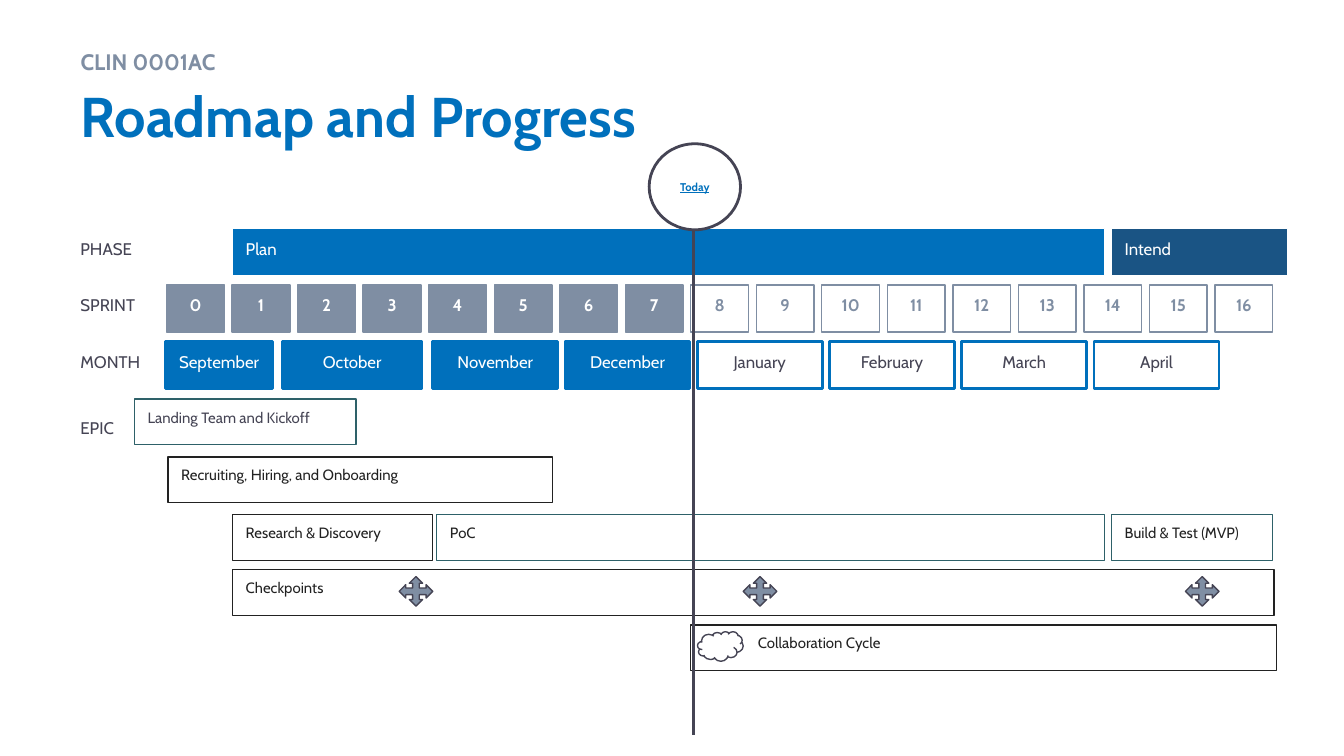
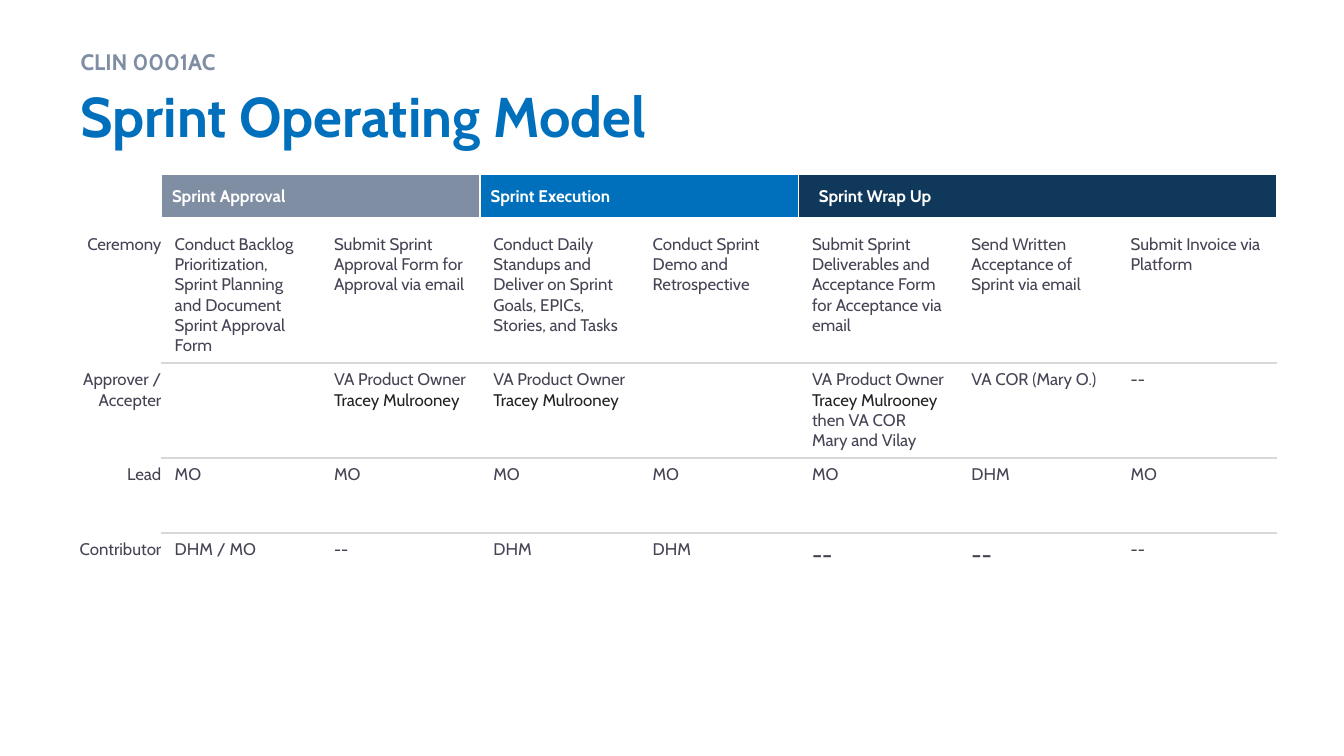
"""Build the roadmap and sprint operating model slides."""
import dataclasses
import typing

import lxml.etree
import pptx
import pptx.dml.color
import pptx.enum.shapes
import pptx.enum.text
import pptx.oxml.ns
import pptx.slide
import pptx.util

Inches = pptx.util.Inches
Pt = pptx.util.Pt
SHAPES = pptx.enum.shapes.MSO_SHAPE
ALIGN = pptx.enum.text.PP_ALIGN
ANCHOR = pptx.enum.text.MSO_ANCHOR
AUTO_SIZE = pptx.enum.text.MSO_AUTO_SIZE

SLIDE_WIDTH = 10
SLIDE_HEIGHT = SLIDE_WIDTH * 9 / 16
FONT = "Cabin"
BLUE = "0070BC"
STEEL = "7F8EA3"
MID_BLUE = "1A5484"
NAVY = "10385A"
SLATE = "454454"
INK = "222222"
TEAL = "2E6169"
RULE_GREY = "D8D8D8"
WHITE = "FFFFFF"


@dataclasses.dataclass(frozen=True)
class TextStyle:
    """Describe the look of a paragraph and its frame."""
    color: str = SLATE
    size: float = 9
    bold: bool = False
    underline: bool = False
    align: typing.Any = ALIGN.LEFT
    anchor: typing.Any = ANCHOR.TOP
    margins: tuple[float, float] = (0.1, 0.1)
    left_margin: typing.Optional[float] = None
    space_after: float = 0
    grow: bool = True


@dataclasses.dataclass(frozen=True)
class Box:
    """Describe a shape with its place, colours and text."""
    left: float
    top: float
    width: float
    height: float
    fill: typing.Optional[str]
    line: str
    text: str = ""
    style: TextStyle = TextStyle()
    weight: float = 0.75
    kind: typing.Any = SHAPES.RECTANGLE


TITLE = TextStyle(BLUE, 30, True, margins=(0.1, 0.05), grow=False)
SUBTITLE = TextStyle(STEEL, 12, True, margins=(0.1, 0.05), grow=False)
LABEL = TextStyle()
PHASE = TextStyle(WHITE)
SPRINT_DONE = TextStyle(WHITE, bold=True, align=ALIGN.CENTER)
SPRINT_AHEAD = dataclasses.replace(SPRINT_DONE, color=STEEL)
MONTH_DONE = TextStyle(WHITE, align=ALIGN.CENTER)
MONTH_AHEAD = TextStyle(align=ALIGN.CENTER)
EPIC = TextStyle(INK, 8, space_after=10)
TODAY = TextStyle(BLUE, 6, True, True, ALIGN.CENTER, ANCHOR.MIDDLE, grow=False)
STAGE = TextStyle(WHITE, bold=True, anchor=ANCHOR.MIDDLE, margins=(0.08, 0.04), grow=False)
CELL = TextStyle(margins=(0.1, 0.05))
ROW_NAME = TextStyle(align=ALIGN.RIGHT, margins=(0, 0.05))
LARGE_CELL = dataclasses.replace(CELL, size=13)

ROW_HEIGHT = 0.35
PHASE_TOP, SPRINT_TOP, MONTH_TOP = 1.7, 2.12, 2.54
EPIC_HEIGHT = 0.34
SPRINT_LEFT, SPRINT_STEP = 1.24, 7.8 / 16
SPRINTS, DONE_SPRINTS = 17, 8
MONTH_STEP = 4.92 / 5
MONTHS = [("September", 1.23, 0.8), ("October", 2.1, 1.04)] + [
    (name, 3.22 + index * MONTH_STEP, 0.93)
    for index, name in enumerate(
        ["November", "December", "January", "February", "March", "April"])]
DONE_MONTHS = 4

TABLE_LEFT, NAME_WIDTH, STEP_WIDTH = 0.5, 0.7, 8.3 / 7
OWNER = "Tracey Mulrooney"
TABLE_ROWS = [
    (0.69, ["Ceremony",
            "Conduct Backlog Prioritization, Sprint Planning and Document Sprint Approval Form",
            "Submit Sprint Approval Form for Approval via email",
            "Conduct Daily Standups and Deliver on Sprint Goals, EPICs, Stories, and Tasks",
            "Conduct Sprint Demo and Retrospective",
            "Submit Sprint Deliverables and Acceptance Form for Acceptance via email",
            "Send Written Acceptance of Sprint via email",
            "Submit Invoice via Platform"]),
    (0.69, ["Approver / Accepter", "", f"VA Product Owner {OWNER}",
            f"VA Product Owner {OWNER}", "",
            f"VA Product Owner {OWNER} then VA COR Mary and Vilay",
            "VA COR (Mary O.)", "--"]),
    (0.56, ["Lead", "MO", "MO", "MO", "MO", "MO", "DHM", "MO"]),
    (0.4, ["Contributor", "DHM / MO", "--", "DHM", "DHM", "--", "--", "--"]),
]
LARGE_CELLS = {(3, 5), (3, 6)}


def rgb(color: str) -> pptx.dml.color.RGBColor:
    """Turn a hex string into a colour."""
    return pptx.dml.color.RGBColor.from_string(color)


def format_paragraph(paragraph: typing.Any, style: TextStyle) -> None:
    """Apply a text style to a paragraph and its runs."""
    paragraph.alignment = style.align
    paragraph.space_before = Pt(0)
    paragraph.space_after = Pt(style.space_after)
    for run in paragraph.runs:
        run.font.name = FONT
        run.font.size = Pt(style.size)
        run.font.bold = style.bold
        run.font.underline = style.underline
        run.font.color.rgb = rgb(style.color)


def set_margins(holder: typing.Any, style: TextStyle) -> None:
    """Set the inner margins of a text frame or a table cell."""
    side, edge = style.margins
    left = side if style.left_margin is None else style.left_margin
    holder.margin_left = Inches(left)
    holder.margin_right = Inches(side)
    holder.margin_top = holder.margin_bottom = Inches(edge)


def write_text(shape: typing.Any, text: str, style: TextStyle) -> None:
    """Fill the text frame of a shape."""
    frame = shape.text_frame
    frame.text = text
    frame.word_wrap = True
    frame.auto_size = AUTO_SIZE.SHAPE_TO_FIT_TEXT if style.grow else AUTO_SIZE.NONE
    frame.vertical_anchor = style.anchor
    set_margins(frame, style)
    format_paragraph(frame.paragraphs[0], style)


def draw_box(slide: pptx.slide.Slide, box: Box) -> None:
    """Draw a shape and its text."""
    shape = slide.shapes.add_shape(
        box.kind, Inches(box.left), Inches(box.top), Inches(box.width), Inches(box.height))
    shape.shadow.inherit = False
    if box.fill is None:
        shape.fill.background()
    else:
        shape.fill.solid()
        shape.fill.fore_color.rgb = rgb(box.fill)
    shape.line.color.rgb = rgb(box.line)
    shape.line.width = Pt(box.weight)
    if box.text:
        write_text(shape, box.text, box.style)


def place(shape: typing.Any, left: float, top: float, width: float, height: float) -> None:
    """Move and size a placeholder."""
    shape.left, shape.top = Inches(left), Inches(top)
    shape.width, shape.height = Inches(width), Inches(height)


def add_slide(presentation: typing.Any, title: str) -> pptx.slide.Slide:
    """Add a slide with the shared heading."""
    slide = presentation.slides.add_slide(presentation.slide_layouts[1])
    slide.background.fill.solid()
    slide.background.fill.fore_color.rgb = rgb(WHITE)
    heading, contract = slide.shapes.title, slide.placeholders[1]
    place(heading, 0.5, 0.56, 9, 0.69)
    write_text(heading, title, TITLE)
    place(contract, 0.5, 0.27, 9, 0.29)
    write_text(contract, "CLIN 0001AC", SUBTITLE)
    paragraph = contract.text_frame.paragraphs[0]
    properties = paragraph._p.get_or_add_pPr()
    properties.set("marL", "0")
    properties.set("indent", "0")
    lxml.etree.SubElement(properties, pptx.oxml.ns.qn("a:buNone"))
    paragraph.line_spacing = 1.2
    return slide


def sprint_box(number: int) -> Box:
    """Describe the box of one sprint."""
    done = number < DONE_SPRINTS
    return Box(SPRINT_LEFT + number * SPRINT_STEP, SPRINT_TOP, 0.43, ROW_HEIGHT,
               STEEL if done else None, STEEL, str(number),
               SPRINT_DONE if done else SPRINT_AHEAD)


def month_box(index: int) -> Box:
    """Describe the box of one month."""
    name, left, width = MONTHS[index]
    done = index < DONE_MONTHS
    return Box(left, MONTH_TOP, width, ROW_HEIGHT, BLUE if done else WHITE, BLUE, name,
               MONTH_DONE if done else MONTH_AHEAD, 1.5)


def epic_box(left: float, top: float, width: float, text: str,
             line: str = INK, style: TextStyle = EPIC) -> Box:
    """Describe the bar of one epic."""
    return Box(left, top, width, EPIC_HEIGHT, WHITE, line, text, style)


def build_roadmap(presentation: typing.Any) -> None:
    """Build the roadmap slide."""
    slide = add_slide(presentation, "Roadmap and Progress")
    boxes = [
        Box(1.73, PHASE_TOP, 6.49, ROW_HEIGHT, BLUE, WHITE, "Plan", PHASE),
        Box(8.27, PHASE_TOP, 1.31, ROW_HEIGHT, MID_BLUE, WHITE, "Intend", PHASE),
        *map(sprint_box, range(SPRINTS)),
        *map(month_box, range(len(MONTHS))),
        epic_box(1, 2.97, 1.65, "Landing Team and Kickoff", TEAL,
                 dataclasses.replace(EPIC, color=SLATE)),
        epic_box(1.25, 3.4, 2.86, "Recruiting, Hiring, and Onboarding"),
        epic_box(1.73, 3.83, 1.49, "Research & Discovery"),
        epic_box(3.25, 3.83, 4.97, "PoC", TEAL),
        epic_box(8.27, 3.83, 1.2, "Build & Test (MVP)", TEAL),
        epic_box(1.73, 4.24, 7.75, "Checkpoints"),
        *(Box(left, 4.29, 0.25, 0.22, STEEL, SLATE, kind=SHAPES.QUAD_ARROW)
          for left in (2.97, 5.53, 8.82)),
        epic_box(5.14, 4.65, 4.36, "Collaboration Cycle",
                 style=dataclasses.replace(EPIC, left_margin=0.5)),
        Box(5.19, 4.7, 0.34, 0.22, WHITE, SLATE, kind=SHAPES.CLOUD),
        Box(4.83, 1.07, 0.68, 0.64, WHITE, SLATE, "Today", TODAY, 1.5, SHAPES.OVAL),
    ]
    for box in boxes:
        draw_box(slide, box)
    for text, top in (("PHASE", PHASE_TOP), ("SPRINT", SPRINT_TOP),
                      ("MONTH", MONTH_TOP), ("EPIC", 3.03)):
        label = slide.shapes.add_textbox(
            Inches(0.5), Inches(top), Inches(0.74), Inches(ROW_HEIGHT))
        write_text(label, text, LABEL)
    today = slide.shapes.add_connector(
        pptx.enum.shapes.MSO_CONNECTOR.STRAIGHT,
        Inches(5.16), Inches(1.72), Inches(5.16), Inches(5.47))
    today.line.color.rgb = rgb(SLATE)
    today.line.width = Pt(1.5)
    lxml.etree.SubElement(today._element.spPr, pptx.oxml.ns.qn("a:effectLst"))


def set_borders(cell: typing.Any, ruled_sides: set[str]) -> None:
    """Rule the given sides of a cell and clear the others."""
    properties = cell._tc.get_or_add_tcPr()
    for side in "LRTB":
        line = lxml.etree.SubElement(
            properties, pptx.oxml.ns.qn(f"a:ln{side}"), w=str(Pt(1)))
        if side in ruled_sides:
            fill = lxml.etree.SubElement(line, pptx.oxml.ns.qn("a:solidFill"))
            lxml.etree.SubElement(fill, pptx.oxml.ns.qn("a:srgbClr"), val=RULE_GREY)
        else:
            lxml.etree.SubElement(line, pptx.oxml.ns.qn("a:noFill"))


def fill_cell(cell: typing.Any, text: str, style: TextStyle) -> None:
    """Write a cell, with the owner's name in a darker colour."""
    set_margins(cell, style)
    paragraph = cell.text_frame.paragraphs[0]
    for part in filter(None, text.partition(OWNER)):
        paragraph.add_run().text = part
    format_paragraph(paragraph, style)
    for run in paragraph.runs:
        if run.text == OWNER:
            run.font.color.rgb = rgb(INK)


def build_operating_model(presentation: typing.Any) -> None:
    """Build the sprint operating model slide."""
    slide = add_slide(presentation, "Sprint Operating Model")
    widths = [NAME_WIDTH] + [STEP_WIDTH] * 7
    heights = [height for height, _ in TABLE_ROWS]
    table = slide.shapes.add_table(
        len(heights), len(widths), Inches(TABLE_LEFT), Inches(1.69),
        Inches(sum(widths)), Inches(sum(heights))).table
    table.first_row = table.horz_banding = False
    for column, width in zip(table.columns, widths):
        column.width = Inches(width)
    for row, (height, texts) in enumerate(TABLE_ROWS):
        table.rows[row].height = Inches(height)
        for column, text in enumerate(texts):
            cell = table.cell(row, column)
            style = LARGE_CELL if (row, column) in LARGE_CELLS else CELL
            fill_cell(cell, text, style if column else ROW_NAME)
            ruled = {"T"} if row else set()
            if row < len(TABLE_ROWS) - 1:
                ruled.add("B")
            set_borders(cell, ruled if column else set())
            cell.fill.background()
    left = TABLE_LEFT + NAME_WIDTH
    for text, steps, color, margin in (("Sprint Approval", 2, STEEL, 0.08),
                                       ("Sprint Execution", 2, BLUE, 0.08),
                                       ("Sprint Wrap Up", 3, NAVY, 0.15)):
        width = steps * STEP_WIDTH
        draw_box(slide, Box(left, 1.3, width, 0.32, color, WHITE, text,
                            dataclasses.replace(STAGE, left_margin=margin)))
        left += width


def main() -> None:
    """Build and save the presentation."""
    presentation = pptx.Presentation()
    presentation.slide_width = Inches(SLIDE_WIDTH)
    presentation.slide_height = Inches(SLIDE_HEIGHT)
    build_roadmap(presentation)
    build_operating_model(presentation)
    presentation.save("out.pptx")


if __name__ == "__main__":
    main()
